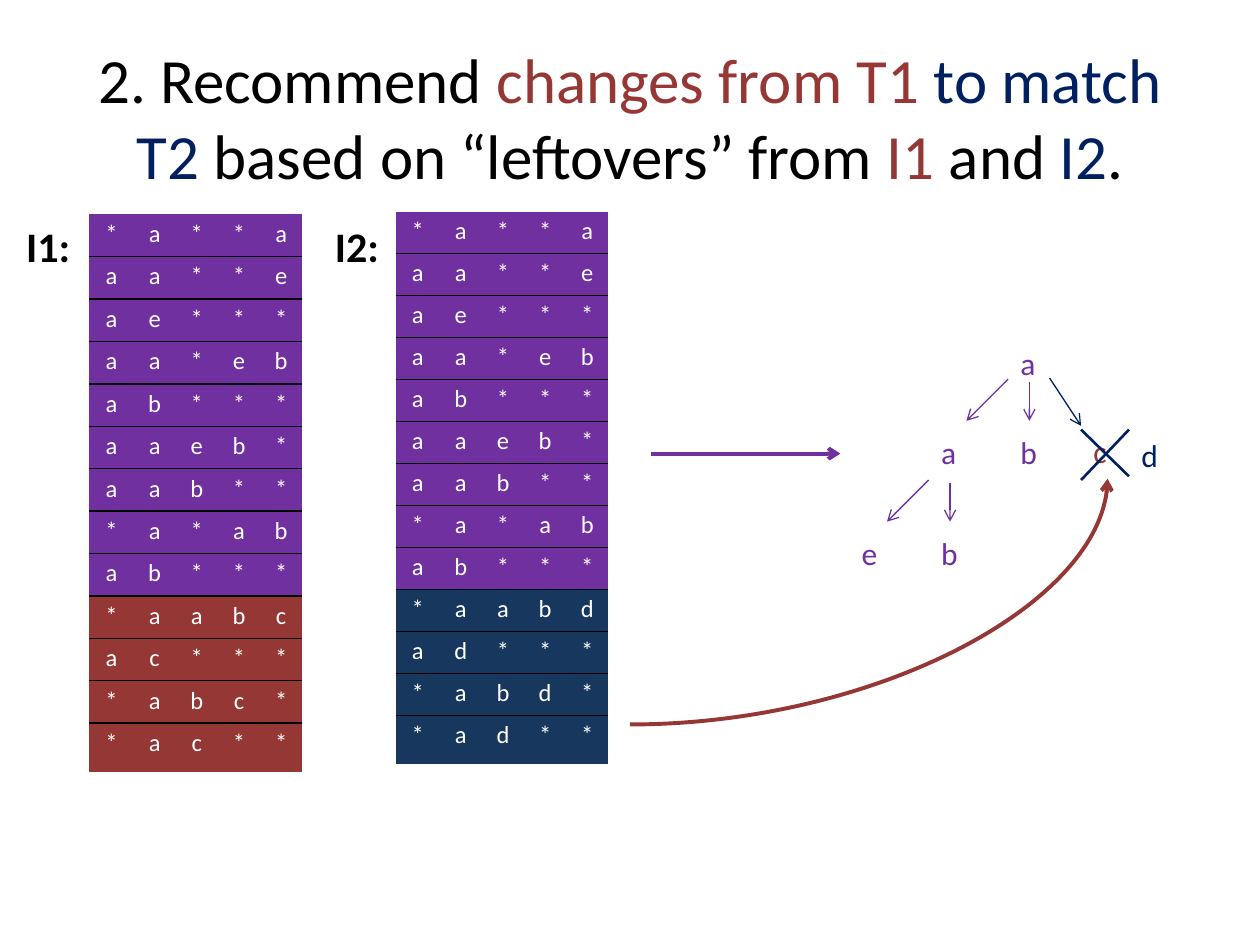
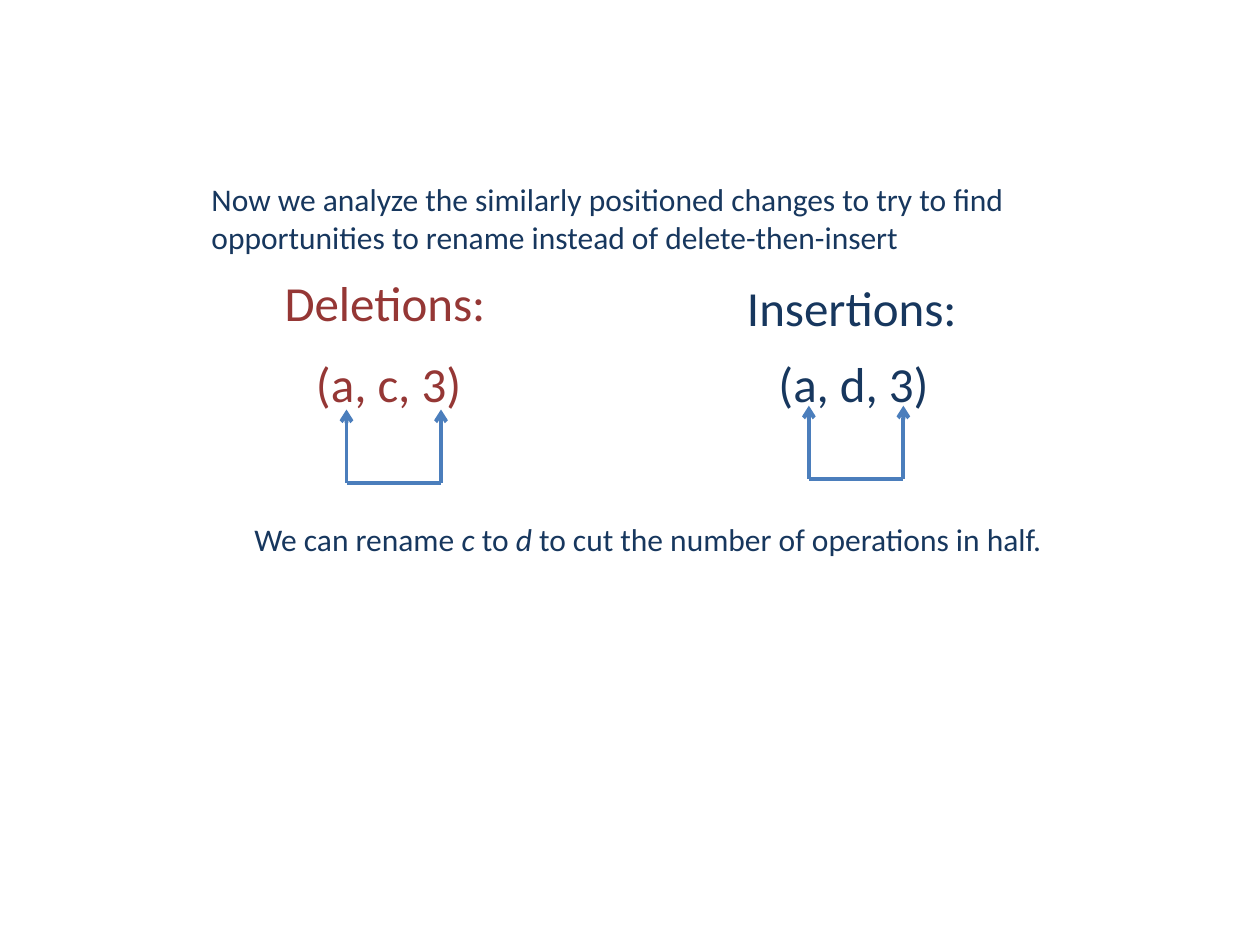
from lxml import etree
from pptx import Presentation
from pptx.dml.color import RGBColor
from pptx.enum import shapes, text
from pptx.oxml import ns
from pptx.util import Inches, Pt

FONT = "Calibri"
BLACK = RGBColor(0x00, 0x00, 0x00)
WHITE = RGBColor(0xFF, 0xFF, 0xFF)
PURPLE = RGBColor(0x70, 0x30, 0xA0)
RED = RGBColor(0x95, 0x37, 0x35)
NAVY = RGBColor(0x00, 0x20, 0x60)
DARK_BLUE = RGBColor(0x17, 0x37, 0x5E)
BLUE = RGBColor(0x4B, 0x7E, 0xBC)
NO_STYLE = "{2D5ABB26-0587-4C30-8999-92F81FD0307C}"

SHARED_ROWS = ["*a**a", "aa**e", "ae***", "aa*eb", "ab***",
               "aaeb*", "aab**", "*a*ab", "ab***"]
LEFTOVER_ROWS = ["*aab{}", "a{}***", "*ab{}*", "*a{}**"]


def add_run(p, content, size, color, **formats):
    r = p.add_run()
    r.text = content
    r.font.color.rgb = color
    for name, value in {"name": FONT, "size": Pt(size), **formats}.items():
        setattr(r.font, name, value)


def add_text(s, box, runs, size, align=text.PP_ALIGN.LEFT,
             anchor=text.MSO_ANCHOR.TOP):
    tf = s.shapes.add_textbox(*map(Inches, box)).text_frame
    tf.word_wrap = True
    tf.vertical_anchor = anchor
    p = tf.paragraphs[0]
    p.alignment = align
    for content, color, *formats in runs:
        add_run(p, content, size, color, **(formats[0] if formats else {}))


def add_line(s, start, end, color, width, arrow=True, curved=False):
    kind = shapes.MSO_CONNECTOR.CURVE if curved else shapes.MSO_CONNECTOR.STRAIGHT
    line = s.shapes.add_connector(kind, *map(Inches, (*start, *end)))
    line.line.color.rgb = color
    line.line.width = Pt(width)
    sp_pr = line._element.spPr
    if curved:
        sp_pr.find(ns.qn("a:prstGeom")).set("prst", "curvedConnector2")
    if arrow:
        etree.SubElement(sp_pr.find(ns.qn("a:ln")), ns.qn("a:tailEnd"), type="arrow")
    etree.SubElement(sp_pr, ns.qn("a:effectLst"))


def add_border(cell, side):
    ln = etree.SubElement(cell._tc.get_or_add_tcPr(), ns.qn(f"a:{side}"),
                          w=str(Pt(1)))
    fill = etree.SubElement(ln, ns.qn("a:solidFill"))
    etree.SubElement(fill, ns.qn("a:srgbClr"), val=str(BLACK))


def add_index_table(s, box, label, label_x, leftover, color):
    x, y, w, h = box
    add_text(s, (label_x, 1.7, 0.61, 0.5), [(label, BLACK, {"bold": True})], 24)
    rows = SHARED_ROWS + [row.format(leftover) for row in LEFTOVER_ROWS]
    last = len(rows) - 1
    table = s.shapes.add_table(len(rows), 5, *map(Inches, box)).table
    table.first_row = table.horz_banding = False
    table._tbl.tblPr.find(ns.qn("a:tableStyleId")).text = NO_STYLE
    for c, column in enumerate(table.columns):
        column.width = Inches(0.35 if c == 0 else (w - 0.35) / 4)
    for i, letters in enumerate(rows):
        table.rows[i].height = Inches(0.39 if i == last else (h - 0.39) / last)
        for c, letter in enumerate(letters):
            cell = table.cell(i, c)
            cell.margin_top = cell.margin_bottom = Inches(0.04)
            if i > 0:
                add_border(cell, "lnT")
            if i < last:
                add_border(cell, "lnB")
            cell.fill.solid()
            cell.fill.fore_color.rgb = PURPLE if i < len(SHARED_ROWS) else color
            p = cell.text_frame.paragraphs[0]
            p.alignment = text.PP_ALIGN.CENTER
            add_run(p, letter, 14, WHITE)


def add_tree(s, x, y):
    step = 0.63
    nodes = [("a", 2 * step, 0, PURPLE), ("a", step, 0.71, PURPLE),
             ("b", 2 * step, 0.71, PURPLE), ("c", 1.84, 0.7, RED),
             ("d", 2.22, 0.73, NAVY), ("e", 0, 1.51, PURPLE),
             ("b", step, 1.51, PURPLE)]
    for letter, dx, dy, color in nodes:
        add_text(s, (x + dx, y + dy, 0.42, 0.42), [(letter, color)], 18)
    for dx, dy in [(2 * step, 0.33), (step, 1.13)]:
        px, py = x + dx, y + dy
        add_line(s, (px, py), (px - 0.33, py + 0.33), PURPLE, 0.75)
        add_line(s, (px + 0.17, py + 0.02), (px + 0.17, py + 0.33), PURPLE, 0.75)
    left, right, top = x + 1.84, x + 2.22, y + 0.73
    add_line(s, (x + 1.59, y + 0.32), (left, y + 0.7), NAVY, 0.75)
    add_line(s, (left, top), (right, top + 0.37), NAVY, 1.5, arrow=False)
    add_line(s, (right, top), (left, top + 0.4), NAVY, 1.5, arrow=False)


def add_change(s, x, heading_y, base_y, heading, triple, color):
    add_text(s, (x, heading_y, 1.92, 0.57), [(heading, color)], 28)
    add_text(s, (x + 0.25, 2.76, 1.5, 0.57), [(triple, color)], 28)
    left, right = x + 0.59, x + 1.34
    for arrow_x in (left, right):
        add_line(s, (arrow_x, base_y), (arrow_x, base_y - 0.58), BLUE, 2.25)
    add_line(s, (left, base_y), (right, base_y), BLUE, 2.25, arrow=False)


def build_recommend_slide(s):
    add_text(s, (0.5, 0.3, 9, 1.25),
             [("2. Recommend", BLACK), (" changes from T1 ", RED),
              ("to match T2 ", NAVY), ("based on “leftovers” from ", BLACK),
              ("I1 ", RED), ("and ", BLACK), ("I2", NAVY), (".", BLACK)],
             36, text.PP_ALIGN.CENTER, text.MSO_ANCHOR.MIDDLE)
    add_index_table(s, (0.71, 1.7, 1.69, 4.43), "I1:", 0.11, "c", RED)
    add_index_table(s, (3.14, 1.68, 1.69, 4.39), "I2:", 2.56, "d", DARK_BLUE)
    add_line(s, (5.17, 3.6), (6.67, 3.6), PURPLE, 2.25)
    add_tree(s, 6.74, 2.68)
    add_line(s, (5, 5.75), (8.79, 3.8), RED, 2.25, curved=True)


def build_rename_slide(s):
    add_text(s, (1.58, 1.38, 6.75, 0.71),
             [("Now we analyze the similarly positioned changes to try to find "
               "opportunities to rename instead of delete-then-insert", DARK_BLUE)], 18)
    add_change(s, 2.16, 2.11, 3.83, "Deletions:", "(a, c, 3)", RED)
    add_change(s, 5.83, 2.15, 3.8, "Insertions:", "(a, d, 3)", DARK_BLUE)
    italic = {"italic": True}
    add_text(s, (1.92, 4.08, 6.5, 0.4),
             [("We can rename ", DARK_BLUE), ("c", DARK_BLUE, italic),
              (" to ", DARK_BLUE), ("d", DARK_BLUE, italic),
              (" to cut the number of operations in half.", DARK_BLUE)], 18)


def main():
    prs = Presentation()
    prs.slide_width, prs.slide_height = Inches(10), Inches(7.5)
    for build in (build_recommend_slide, build_rename_slide):
        build(prs.slides.add_slide(prs.slide_layouts[6]))
    prs.save("out.pptx")


if __name__ == "__main__":
    main()
